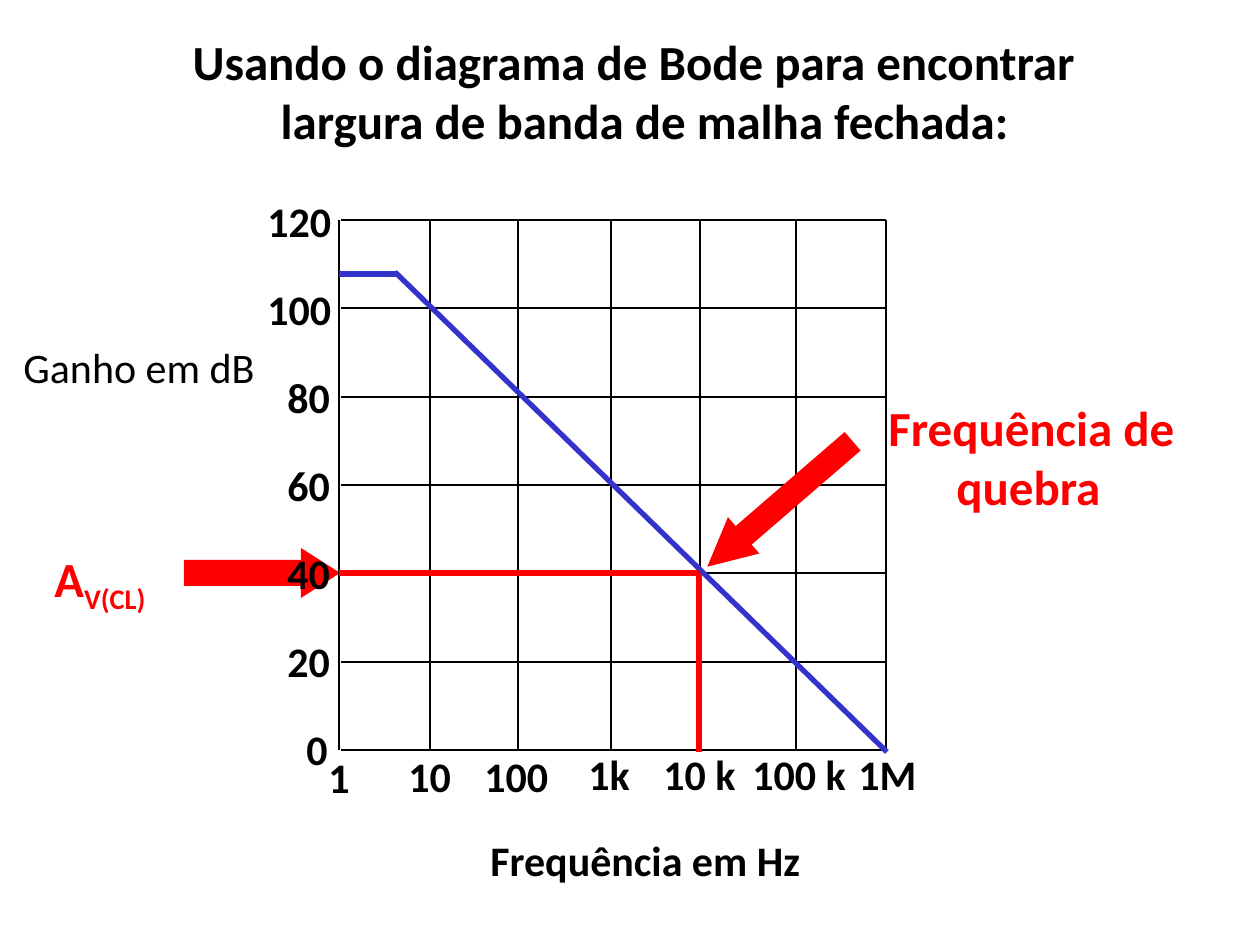
"""Build the Bode diagram slide on closed-loop bandwidth."""
from typing import NamedTuple

from pptx import Presentation
from pptx.dml.color import RGBColor
from pptx.enum.shapes import MSO_CONNECTOR, MSO_SHAPE
from pptx.enum.text import MSO_ANCHOR, MSO_AUTO_SIZE, PP_ALIGN
from pptx.oxml.ns import qn
from pptx.util import Emu, Pt

BLACK = RGBColor(0x00, 0x00, 0x00)
RED = RGBColor(0xFF, 0x00, 0x00)
BLUE = RGBColor(0x33, 0x33, 0xCC)
FONT = "Calibri"
SCALE = 914400 / 126


class Box(NamedTuple):
    """Left, top, width and height in px."""
    left: int
    top: int
    width: int
    height: int = 63


class Label(NamedTuple):
    """A text and its box."""
    text: str
    box: Box


class Line(NamedTuple):
    """The two ends of a straight line in px."""
    x1: int
    y1: int
    x2: int
    y2: int


class Arrow(NamedTuple):
    """A block arrow with its turn and adjustments."""
    kind: MSO_SHAPE
    box: Box
    turn: float
    shaft: float
    head: float


COLS = (339, 430, 518, 611, 700, 796, 886)
ROWS = [220 + round(530 * i / 6) for i in range(7)]
GRID = [Line(341, y, 886, y) for y in ROWS] + [Line(x, 220, x, 750) for x in COLS]
CURVE = (Line(887, 752, 395, 272), Line(396, 274, 339, 274))
MARK = (Line(339, 573, 699, 573), Line(699, 573, 699, 752))
SIDES = {1: (294, 52), 2: (275, 74), 3: (255, 96)}
HZ = (
    Label("1", Box(316, 745, 52)),
    Label("10", Box(396, 744, 74)),
    Label("100", Box(472, 744, 96)),
    Label("1k", Box(576, 742, 74)),
    Label("10 k", Box(651, 742, 106)),
    Label("100 k", Box(740, 742, 128)),
    Label("1M", Box(846, 742, 92)),
)
GAIN = Arrow(MSO_SHAPE.RIGHT_ARROW, Box(184, 548, 156, 50), 0, 0.52, 0.78)
BREAK = Arrow(MSO_SHAPE.LEFT_ARROW, Box(684, 480, 192, 48), 319.2, 0.51, 1)


def px(size: float) -> Emu:
    """Turn px into EMU."""
    return Emu(round(size * SCALE))


def write(frame, text: str, *, size: int = 24, color: RGBColor = BLACK,
          bold: bool = True, wrap: bool = False, dents: tuple = (), sub: str = "") -> None:
    """Fill a text frame, with an indent per line and an optional subscript."""
    frame.word_wrap = wrap
    frame.auto_size = MSO_AUTO_SIZE.NONE
    frame.vertical_anchor = MSO_ANCHOR.TOP
    frame.text = text
    for i, para in enumerate(frame.paragraphs):
        para.alignment = PP_ALIGN.LEFT
        if dents:
            props = para._p.get_or_add_pPr()
            props.set("marL", str(px(dents[i])))
            props.set("indent", "0")
        if sub:
            run = para.add_run()
            run.text = sub
            run._r.get_or_add_rPr().set("baseline", "-25000")
        for run in para.runs:
            font = run.font
            font.name, font.size, font.bold = FONT, Pt(size), bold
            font.color.rgb = color


def add_text(shapes, label: Label, **style) -> None:
    """Add a text box for a label."""
    box = shapes.add_textbox(*map(px, label.box))
    write(box.text_frame, label.text, **style)


def add_line(shapes, line: Line, color: RGBColor, width: float) -> None:
    """Add a straight line without shadow."""
    item = shapes.add_connector(MSO_CONNECTOR.STRAIGHT, *map(px, line))
    item.line.color.rgb = color
    item.line.width = Pt(width)
    props = item._element.spPr
    props.append(props.makeelement(qn("a:effectLst"), {}))


def add_arrow(shapes, arrow: Arrow) -> None:
    """Add a red block arrow."""
    item = shapes.add_shape(arrow.kind, *map(px, arrow.box))
    item.rotation = arrow.turn
    item.adjustments[0] = arrow.shaft
    item.adjustments[1] = arrow.head
    item.fill.solid()
    item.fill.fore_color.rgb = RED
    item.line.fill.background()
    item.shadow.inherit = False


def main() -> None:
    """Draw the slide and save it."""
    deck = Presentation()
    deck.slide_width, deck.slide_height = px(1260), px(945)
    slide = deck.slides.add_slide(deck.slide_layouts[5])
    shapes = slide.shapes

    title = shapes.title
    title.left, title.top, title.width, title.height = map(px, Box(180, 25, 920, 131))
    write(title.text_frame,
          "Usando o diagrama de Bode para encontrar\nlargura de banda de malha fechada:",
          size=28, wrap=True, dents=(0, 88))

    add_arrow(shapes, GAIN)
    grid = shapes.add_group_shape()
    for line in GRID:
        add_line(grid.shapes, line, BLACK, 0.75)
    for line in CURVE:
        add_line(shapes, line, BLUE, 3)

    for label in HZ:
        add_text(shapes, label, wrap=True)
    for i in range(len(ROWS)):
        text = str(120 - 20 * i)
        left, width = SIDES[len(text)]
        add_text(shapes, Label(text, Box(left, 189 + 88 * i, width)), wrap=True)
    add_text(shapes, Label("Frequência em Hz", Box(478, 828, 350)), wrap=True)
    add_text(shapes, Label("Ganho em dB", Box(11, 335, 270)), bold=False, wrap=True)

    add_arrow(shapes, BREAK)
    add_text(shapes, Label("Frequência de\nquebra", Box(844, 391, 365, 131)),
             size=28, color=RED, wrap=True, dents=(32, 100))
    add_text(shapes, Label("A", Box(42, 542, 126, 79)),
             size=28, color=RED, wrap=True, sub="V(CL)")
    for line in MARK:
        add_line(shapes, line, RED, 3)
    deck.save("out.pptx")


if __name__ == "__main__":
    main()
